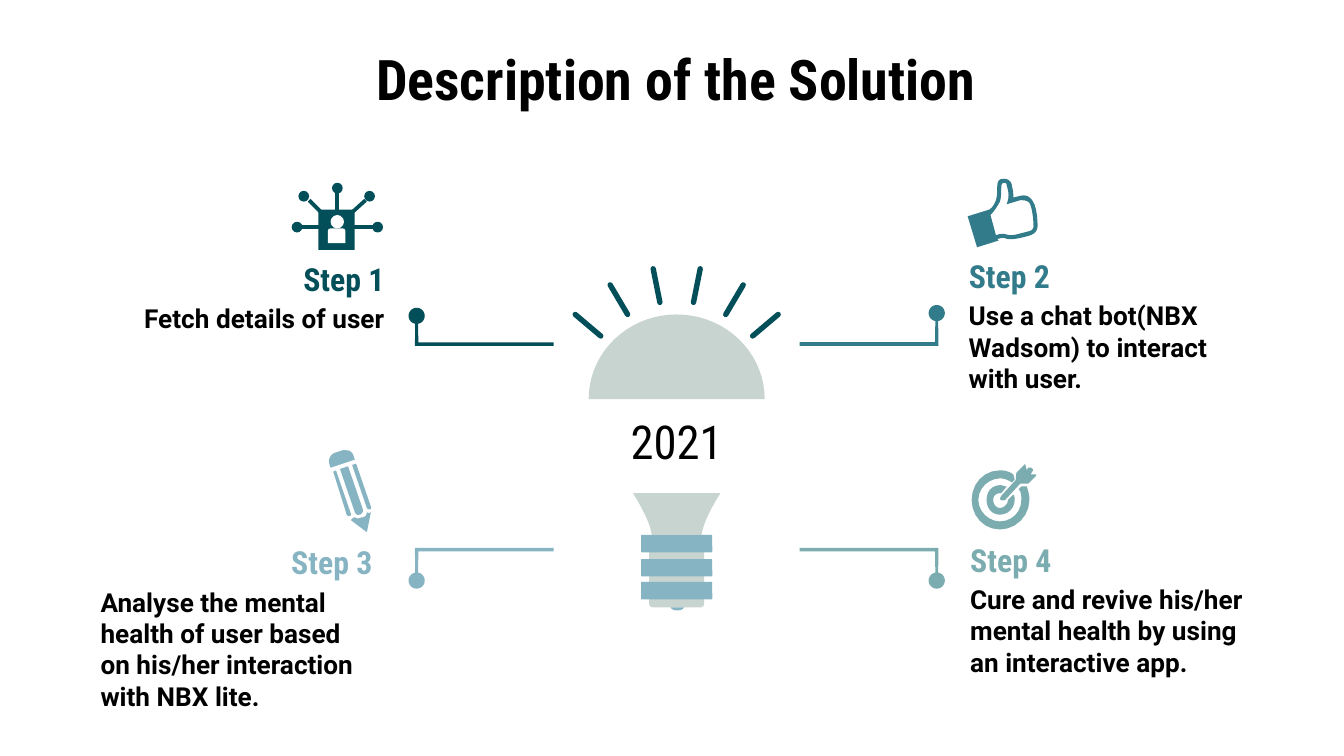
from dataclasses import dataclass
from math import cos, radians, sin

from lxml import etree
from pptx import Presentation
from pptx.dml.color import RGBColor
from pptx.enum.shapes import MSO_CONNECTOR, MSO_SHAPE
from pptx.enum.text import MSO_ANCHOR, PP_ALIGN
from pptx.oxml.ns import qn
from pptx.util import Inches, Pt

PX = 9144  # 100 px to the inch
LEFT, MID, RIGHT = PP_ALIGN.LEFT, PP_ALIGN.CENTER, PP_ALIGN.RIGHT
OVAL, RECT = MSO_SHAPE.OVAL, MSO_SHAPE.RECTANGLE
ROUND, BUST = MSO_SHAPE.ROUNDED_RECTANGLE, MSO_SHAPE.ROUND_2_SAME_RECTANGLE
STRAIGHT = MSO_CONNECTOR.STRAIGHT


@dataclass(frozen=True)
class Theme:
    dark: str = "024F59"
    teal: str = "327B8A"
    sky: str = "86B4C2"
    sage: str = "7BACB0"
    glass: str = "C7D4CF"
    ink: str = "000000"
    white: str = "FFFFFF"
    head: str = "Roboto Condensed"
    body: str = "Roboto"
    title: int = 30
    year: int = 25
    step: int = 17
    note: int = 14


T = Theme()
TITLE = ("Description of the Solution", (186, 23, 634, 68))
YEAR = ("2021", (438, 297, 131, 53))
AXIS = 1007  # x + mirrored x

# name, note, colour, head left, top, note left, head align, note align
STEPS = [
    ("Step 1", "Fetch details of user", T.dark, 157, 183, 73, RIGHT, RIGHT),
    ("Step 2", "Use a chat bot(NBX Wadsom) to interact with user.",
     T.teal, 711, 181, 711, LEFT, LEFT),
    ("Step 3", "Analyse the mental health of user based on his/her "
     "interaction with NBX lite.", T.sky, 148, 394, 65, RIGHT, LEFT),
    ("Step 4", "Cure and revive his/her mental health by using an "
     "interactive app.", T.sage, 712, 392, 712, LEFT, LEFT),
]
# colour, dot x, dot y, bar y, bar end
LINKS = [
    (T.dark, 310, 235, 256, 412), (T.teal, 697, 233, 256, 595),
    (T.sky, 310, 432, 409, 412), (T.sage, 697, 432, 409, 595),
]
HALF = 1.3  # half the width of a link
RAYS = [((486, 200), (491, 225)), ((454, 212), (467, 234)),
        ((428, 234), (447, 250))]
NODES = [(251, 140), (221, 169), (281, 169), (226, 146), (275, 146)]
SPOKES = [((251, 143), (251, 157)), ((224, 169), (238, 169)),
          ((278, 169), (263, 169)), ((230, 149), (239, 158)),
          ((272, 149), (262, 158))]

# Outlines: two numbers make a corner, six make a Bezier curve.
PENCIL = [
    [(257, 335), (256, 335, 256, 335, 255, 335), (249, 337),
     (246, 338, 244, 342, 245, 345), (246, 348), (264, 342), (263, 339),
     (262, 336, 260, 335, 257, 335)],
    [(265, 345), (262, 346), (273, 378), (274, 380, 277, 379, 276, 377)],
    [(259, 347), (253, 349), (264, 381), (265, 385, 271, 383, 270, 379)],
    [(250, 350), (248, 351), (258, 383), (259, 385, 262, 384, 261, 382)],
    [(276, 381), (275, 382, 274, 382, 273, 381),
     (273, 384, 271, 385, 269, 385), (267, 386, 266, 386, 264, 385),
     (263, 385, 262, 386, 261, 387), (273, 396)],
]
THUMB = [
    [(747, 136), (748, 136, 749, 136, 749, 138),
     (750, 141, 751, 145, 750, 149), (749, 152), (759, 149),
     (762, 149, 764, 149, 766, 151), (768, 154, 769, 164, 769, 168),
     (769, 169, 769, 171, 766, 172), (762, 173, 755, 175, 753, 175),
     (751, 175), (747, 174), (746, 174, 744, 174, 741, 175), (737, 160),
     (739, 158, 742, 154, 744, 150), (745, 147, 745, 142, 745, 139),
     (745, 137, 746, 136, 747, 136)],
    [(747, 133), (744, 133, 742, 134, 742, 139),
     (742, 142, 742, 146, 741, 149), (740, 152, 738, 155, 736, 156),
     (720, 161), (727, 184), (743, 179), (742, 178),
     (745, 177, 746, 177, 747, 177), (750, 178), (753, 178),
     (756, 178, 764, 176, 767, 175), (772, 173, 772, 169, 772, 168),
     (772, 167, 772, 154, 768, 149), (765, 145, 762, 145, 758, 146),
     (754, 147), (754, 145, 754, 142, 753, 139),
     (753, 135, 750, 133, 747, 133)],
]
RING = [[
    (744, 350), (732, 350, 723, 360, 723, 372),
    (723, 384, 732, 394, 744, 394), (756, 394, 766, 384, 766, 372),
    (766, 368, 765, 365, 764, 362), (760, 362), (758, 364),
    (760, 366, 760, 369, 760, 372), (760, 381, 753, 388, 744, 388),
    (736, 388, 728, 381, 728, 372), (728, 363, 736, 356, 744, 356),
    (747, 356, 750, 357, 753, 359), (755, 357), (754, 353),
    (751, 351, 748, 350, 744, 350)]]
CORE = [[
    (744, 361), (738, 361, 734, 366, 734, 372),
    (734, 378, 738, 383, 744, 383), (750, 383, 755, 378, 755, 372),
    (755, 371, 755, 369, 754, 368), (750, 372),
    (750, 375, 747, 378, 744, 378), (741, 378, 739, 375, 739, 372),
    (739, 369, 741, 367, 744, 367), (745, 367), (749, 362),
    (747, 362, 746, 361, 744, 361)]]
ARROW = [[
    (762, 346), (757, 351), (756, 352, 756, 353, 756, 354), (756, 357),
    (745, 369), (744, 371), (744, 372, 746, 373, 748, 372), (759, 360),
    (763, 360), (764, 360, 764, 360, 765, 360), (771, 354),
    (771, 353, 771, 353, 770, 353), (767, 353), (768, 351),
    (769, 350, 769, 349, 767, 348), (766, 348, 765, 348, 765, 348),
    (764, 350), (763, 346), (763, 345, 763, 345, 762, 346)]]
NECK = [[(471, 367), (478, 378, 484, 390, 485, 398), (522, 398),
         (523, 390, 529, 378, 536, 367)]]
TIP = [[(499, 452), (500, 455, 508, 455, 509, 452)]]

deck = Presentation()
deck.slide_width, deck.slide_height = Inches(10), Inches(5.625)  # 16:9
slide = deck.slides.add_slide(deck.slide_layouts[6])
shapes = slide.shapes


def rgb(code):
    return RGBColor.from_string(code)


def paint(shape, tint):
    shape.shadow.inherit = False
    shape.fill.solid()
    shape.fill.fore_color.rgb = rgb(tint)
    shape.line.fill.background()
    return shape


def block(kind, box, tint):
    return paint(shapes.add_shape(kind, *(n * PX for n in box)), tint)


def dot(x, y, r, tint):
    block(OVAL, (x - r, y - r, 2 * r, 2 * r), tint)


def trace(loop, steps=6):
    """Turn corners and Bezier curves into plain points."""
    pts = []
    for part in loop:
        if len(part) == 2:
            pts.append(part)
            continue
        ax, ay = pts[-1]
        bx, by, cx, cy, dx, dy = part
        for i in range(1, steps + 1):
            t = i / steps
            u = 1 - t
            w = u ** 3, 3 * u * u * t, 3 * u * t * t, t ** 3
            pts.append((w[0] * ax + w[1] * bx + w[2] * cx + w[3] * dx,
                        w[0] * ay + w[1] * by + w[2] * cy + w[3] * dy))
    return [(round(x * PX), round(y * PX)) for x, y in pts]


def draw(loops, tint):
    pen = None
    for first, *rest in map(trace, loops):
        if pen is None:
            pen = shapes.build_freeform(*first, scale=1.0)
        else:
            pen.move_to(*first)
        pen.add_line_segments(rest, close=True)
    paint(pen.convert_to_shape(), tint)


def arc(x, y, rx, ry, start, stop, step=5):
    return [(x + rx * cos(radians(a)), y + ry * sin(radians(a)))
            for a in range(start, stop + 1, step)]


def stroke(a, b, width, tint, cap="flat"):
    line = shapes.add_connector(STRAIGHT, *(n * PX for n in a + b))
    line.line.width = Pt(width)
    line.line.color.rgb = rgb(tint)
    line.line._get_or_add_ln().set("cap", cap)
    etree.SubElement(line._element.spPr, qn("a:effectLst"))


def write(text, box, font, size, tint, align, bold=True):
    frame = shapes.add_textbox(*(n * PX for n in box)).text_frame
    frame.word_wrap = True
    frame.vertical_anchor = MSO_ANCHOR.TOP
    frame.margin_left = frame.margin_right = 10 * PX
    frame.margin_top = frame.margin_bottom = 10 * PX
    para = frame.paragraphs[0]
    para.alignment = align
    run = para.add_run()
    run.text = text
    run.font.name, run.font.size, run.font.bold = font, Pt(size), bold
    run.font.color.rgb = rgb(tint)


write(*TITLE, T.head, T.title, T.ink, MID)

# Step icons
for a, b in SPOKES:
    stroke(a, b, 2, T.dark)
for x, y in NODES:
    dot(x, y, 4, T.dark)
block(RECT, (237, 156, 27, 30), T.dark)
dot(251, 165, 5, T.white)
block(BUST, (244, 170, 13, 11), T.white)
draw(THUMB, T.teal)
draw(PENCIL, T.sky)
for part in (RING, CORE, ARROW):
    draw(part, T.sage)

# Light bulb
block(ROUND, (483, 399, 41, 53), T.glass).adjustments[0] = 0.07
for i in range(3):
    block(ROUND, (477, 398 + round(17.5 * i), 53, 13), T.sky).adjustments[0] = 0.05
draw(TIP, T.sky)
draw([arc(AXIS / 2, 297, 65.5, 63, 180, 360)], T.glass)
draw(NECK, T.glass)
for (ax, ay), (bx, by) in RAYS:
    stroke((ax, ay), (bx, by), 2.9, T.dark, "rnd")
    stroke((AXIS - ax, ay), (AXIS - bx, by), 2.9, T.dark, "rnd")
write(*YEAR, T.head, T.year, T.ink, MID, bold=False)

# Links from the bulb to the steps
for tint, x, y, bar, end in LINKS:
    s = HALF if end > x else -HALF
    v = HALF if bar > y else -HALF
    ring = [(x + s / HALF * px, y + v / HALF * py)
            for px, py in arc(0, 0, 6, 6, 100, 440)]
    draw([[(end, bar + v), (x - s, bar + v), *ring,
           (x + s, bar - v), (end, bar - v)]], tint)

for name, note, tint, left, top, edge, align, flow in STEPS:
    write(name, (left, top, 139, 32), T.head, T.step, tint, align)
    write(note, (edge, top + 32, 223, 76), T.body, T.note, T.ink, flow)

deck.save("out.pptx")
